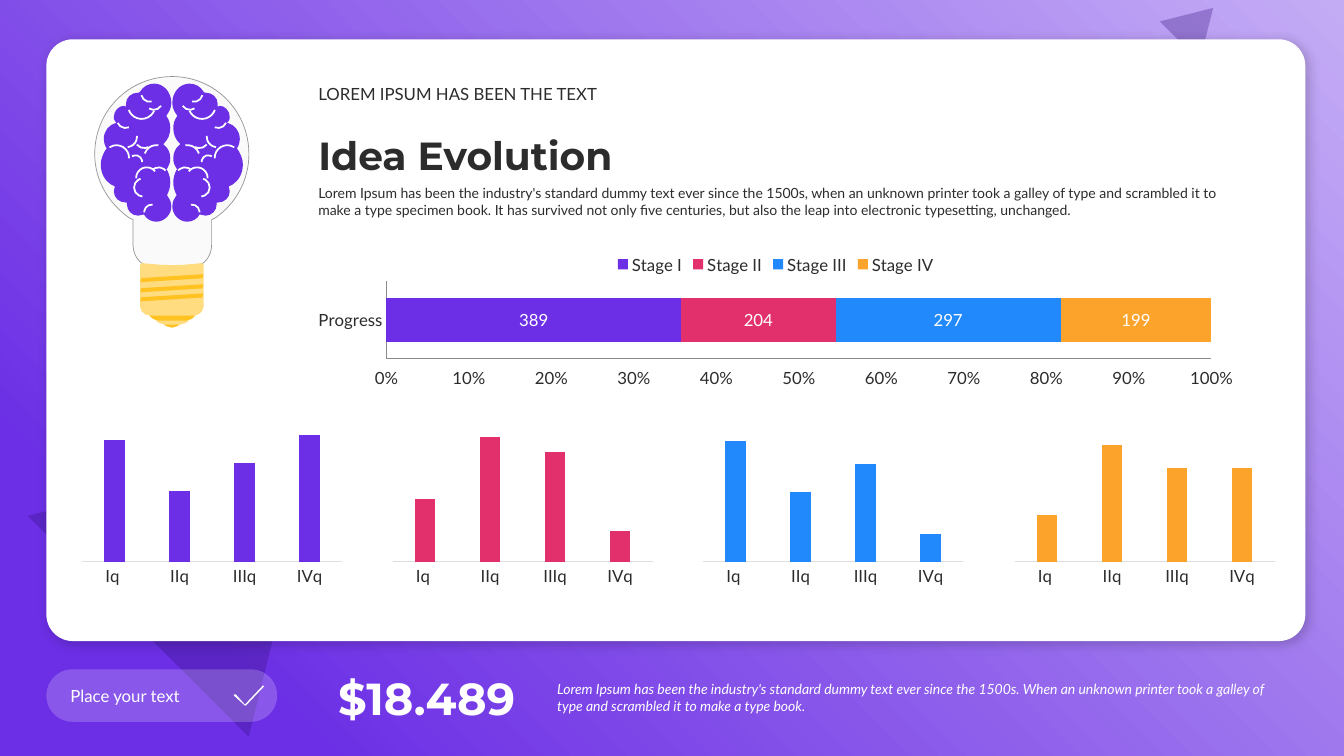
"""Build the Idea Evolution slide with a light bulb, stage charts and a footer."""
from dataclasses import dataclass

from lxml.etree import SubElement
from pptx import Presentation
from pptx.chart.data import CategoryChartData
from pptx.dml.color import RGBColor
from pptx.enum.chart import XL_CHART_TYPE, XL_LEGEND_POSITION, XL_TICK_LABEL_POSITION, XL_TICK_MARK
from pptx.enum.shapes import MSO_SHAPE
from pptx.enum.text import MSO_ANCHOR, MSO_AUTO_SIZE, PP_ALIGN
from pptx.oxml.ns import qn
from pptx.util import Pt

PX = 9144
SLIDE_WIDTH, SLIDE_HEIGHT = 12192000, 6858000
RECT, ROUND, TRIANGLE = MSO_SHAPE.RECTANGLE, MSO_SHAPE.ROUNDED_RECTANGLE, MSO_SHAPE.ISOSCELES_TRIANGLE
ARC, SLANT = MSO_SHAPE.ARC, MSO_SHAPE.PARALLELOGRAM
COLUMNS, STACKED = XL_CHART_TYPE.COLUMN_CLUSTERED, XL_CHART_TYPE.BAR_STACKED_100
TOP, MIDDLE, BOTTOM = MSO_ANCHOR.TOP, MSO_ANCHOR.MIDDLE, MSO_ANCHOR.BOTTOM
LEFT, RIGHT = PP_ALIGN.LEFT, PP_ALIGN.RIGHT
NO_TICK, LOW = XL_TICK_MARK.NONE, XL_TICK_LABEL_POSITION.LOW
FIT_SHAPE, LEGEND_TOP = MSO_AUTO_SIZE.SHAPE_TO_FIT_TEXT, XL_LEGEND_POSITION.TOP


@dataclass(frozen=True)
class Theme:
    violet: str = "6C2FE5"
    lilac: str = "C4ACF5"
    indigo: str = "330F7B"
    pink: str = "E1306C"
    blue: str = "2189FB"
    orange: str = "FCA32C"
    amber: str = "FFC220"
    butter: str = "FFDC80"
    glass: str = "FAFAFA"
    outline: str = "969696"
    axis: str = "8B8B8B"
    baseline: str = "DFDFDF"
    ink: str = "2C2C2C"
    white: str = "FFFFFF"
    body: str = "Lato"
    display: str = "Montserrat"
    small: int = 10
    normal: int = 12
    title: int = 28
    figure: int = 32


def rgb(color):
    return RGBColor.from_string(color)


class Page:
    def __init__(self, slide, theme):
        self.slide, self.theme, self.shapes = slide, theme, slide.shapes

    def start_group(self):
        self.shapes = self.slide.shapes.add_group_shape().shapes

    def end_group(self):
        self.shapes = self.slide.shapes

    def paint(self, shape, fill, alpha=None, line=None, weight=1.25):
        shape.shadow.inherit = False
        if fill:
            shape.fill.solid()
            shape.fill.fore_color.rgb = rgb(fill)
            if alpha:
                color = shape._element.spPr.find(qn("a:solidFill"))[0]
                SubElement(color, qn("a:alpha"), val=str(alpha * 1000))
        else:
            shape.fill.background()
        if line:
            shape.line.color.rgb = rgb(line)
            shape.line.width = Pt(weight)
        else:
            shape.line.fill.background()
        return shape

    def shape(self, kind, box, fill=None, adjust=(), turn=0, flip=False, **paint):
        shape = self.shapes.add_shape(kind, *(v * PX for v in box))
        for index, value in enumerate(adjust):
            shape.adjustments[index] = value
        shape.rotation = turn
        if flip:
            shape._element.spPr.xfrm.set("flipH", "1")
        return self.paint(shape, fill, **paint)

    def outline(self, segments, fill, mirror=None, **paint):
        scaled = [[((mirror - x if mirror else x) * PX, y * PX) for x, y in zip(item[::2], item[1::2])]
                  for item in segments]
        ends = [points[-1] for points in scaled]
        builder = self.shapes.build_freeform(*ends[0], scale=1.0)
        builder.add_line_segments(ends[1:], close=True)
        shape = builder.convert_to_shape()
        left, top = (min(values) for values in zip(*ends))
        lines = list(shape._element.iter(qn("a:lnTo")))
        for line, points in zip(lines, scaled[1:]):
            if len(points) == 3:
                line.tag = qn("a:cubicBezTo")
                line.remove(line[0])
                for x, y in points:
                    SubElement(line, qn("a:pt"), x=str(x - left), y=str(y - top))
        return self.paint(shape, fill, **paint)

    def backdrop(self):
        shape = self.shape(RECT, (0, 0, 1, 1), self.theme.violet)
        shape.width, shape.height = SLIDE_WIDTH, SLIDE_HEIGHT
        shape.fill.gradient()
        stops = shape.fill.gradient_stops
        for stop, color, position in zip(stops, (self.theme.lilac, self.theme.violet), (0, 0.85)):
            stop.color.rgb, stop.position = rgb(color), position
        gradient = shape._element.spPr.find(qn("a:gradFill"))
        gradient.remove(gradient.find(qn("a:lin")))
        circle = SubElement(gradient, qn("a:path"), path="circle")
        SubElement(circle, qn("a:fillToRect"), l="100000", b="100000")

    def card(self, box):
        shape = self.shape(ROUND, box, self.theme.white, (0.044,))
        effects = shape._element.spPr.find(qn("a:effectLst"))
        shadow = SubElement(effects, qn("a:outerShdw"), blurRad=str(Pt(8)), dist=str(Pt(3)), dir="2700000",
                            algn="tl", rotWithShape="0")
        SubElement(SubElement(shadow, qn("a:srgbClr"), val="000000"), qn("a:alpha"), val="20000")

    def style(self, font, size, color, face=None, bold=False, italic=False):
        font.name, font.size, font.color.rgb = face or self.theme.body, Pt(size), rgb(color)
        font.bold, font.italic = bold, italic

    def text(self, box, words, size, color, anchor=MIDDLE, align=LEFT, after=0, **style):
        frame = self.shapes.add_textbox(*(v * PX for v in box)).text_frame
        frame.text = words
        frame.word_wrap, frame.auto_size, frame.vertical_anchor = True, FIT_SHAPE, anchor
        para = frame.paragraphs[0]
        para.alignment, para.space_after = align, Pt(after)
        self.style(para.runs[0].font, size, color, **style)

    def chart(self, kind, box, categories, series, gap, overlap):
        data = CategoryChartData()
        data.categories = categories
        for name, values, _ in series:
            data.add_series(name, values)
        chart = self.shapes.add_chart(kind, *(v * PX for v in box), data).chart
        chart.has_title = chart.has_legend = False
        self.style(chart.font, self.theme.normal, self.theme.ink)
        plot = chart.plots[0]
        plot.gap_width, plot.overlap, plot.vary_by_categories = gap, overlap, False
        for item, (_, _, color) in zip(plot.series, series):
            item.format.fill.solid()
            item.format.fill.fore_color.rgb = rgb(color)
        for axis in (chart.category_axis, chart.value_axis):
            axis.has_major_gridlines = False
            axis.major_tick_mark = axis.minor_tick_mark = NO_TICK
            axis.format.line.width = Pt(0.75)
            axis.format.line.color.rgb = rgb(self.theme.axis)
        return chart

    def quarters(self, box, values, color, ceiling):
        series = [("Series 1", values, color)]
        chart = self.chart(COLUMNS, box, ("Iq ", "IIq", "IIIq", "IVq"), series, 219, -27)
        chart.category_axis.format.line.color.rgb = rgb(self.theme.baseline)
        chart.value_axis.visible = False
        chart.value_axis.minimum_scale, chart.value_axis.maximum_scale = 0, ceiling
        area = chart._chartSpace.chart.plotArea
        for old in area.findall(qn("c:layout")):
            area.remove(old)
        layout = SubElement(area, qn("c:layout"))
        area.insert(0, layout)
        manual = SubElement(layout, qn("c:manualLayout"))
        for tag, value in (("layoutTarget", "inner"), ("xMode", "edge"), ("yMode", "edge"),
                           ("x", "0.024"), ("y", "0.095"), ("w", "0.952"), ("h", "0.635")):
            SubElement(manual, qn("c:" + tag), val=value)

    def progress(self, box, series):
        chart = self.chart(STACKED, box, ("Progress",), series, 75, 100)
        chart.has_legend = True
        chart.legend.position, chart.legend.include_in_layout = LEGEND_TOP, False
        self.style(chart.legend.font, self.theme.normal, self.theme.ink)
        axis = chart.value_axis
        axis.tick_label_position, axis.major_unit = LOW, 0.1
        axis.tick_labels.number_format, axis.tick_labels.number_format_is_linked = "0%", False
        plot = chart.plots[0]
        plot.has_data_labels = True
        plot.data_labels.show_value = True
        self.style(plot.data_labels.font, self.theme.normal, self.theme.white)


CHECK = ((262, 681), (261, 680), (243, 699), (234, 689), (232, 689), (232, 690), (243, 700), (244, 700))
BULB = ((171, 76), (213, 76, 247, 110, 247, 153), (247, 179, 234, 202, 214, 216), (210, 218), (210, 243),
        (210, 256, 200, 266, 188, 266), (154, 266), (142, 266, 132, 256, 132, 243), (132, 218), (128, 216),
        (108, 202, 94, 179, 94, 153), (94, 110, 128, 76, 171, 76))
BRAIN = ((153, 83), (162, 83, 170, 91, 170, 102), (170, 105, 169, 109, 167, 112), (165, 115),
         (168, 119, 169, 123, 169, 127), (169, 133, 167, 138, 163, 142), (162, 143), (163, 144),
         (167, 147, 169, 152, 169, 157), (169, 161, 168, 164, 166, 167), (165, 168), (166, 169),
         (168, 173, 169, 177, 169, 181), (169, 185, 168, 189, 166, 193), (165, 194), (166, 194),
         (168, 197, 170, 200, 170, 205), (170, 213, 163, 220, 155, 220), (150, 220, 145, 217, 143, 213),
         (142, 213), (140, 214, 139, 214, 137, 214), (131, 214, 126, 209, 126, 203), (126, 201), (125, 201),
         (118, 201, 113, 196, 113, 190), (113, 188, 113, 187, 114, 185), (110, 183),
         (104, 179, 100, 172, 100, 163), (100, 158, 102, 154, 104, 150), (106, 147), (105, 146),
         (104, 144, 103, 141, 103, 138), (103, 130, 108, 124, 115, 122), (116, 122), (114, 120),
         (113, 119, 113, 117, 113, 116), (113, 110, 118, 105, 123, 105), (125, 106), (125, 103),
         (125, 97, 130, 92, 137, 92), (138, 92), (139, 91), (142, 86, 147, 83, 153, 83))
FOLDS = ((144, 92, 17, 122.3, ()), (140, 84, 17, 167.1, ()), (127, 91, 27, 167.1, (130.12, 211.95)),
         (103, 144, 25, 167.1, (41.6, 117.24)), (128, 154, 13, 167.1, (41.6, 117.24)),
         (116, 110, 17, 156.5, ()), (149, 166, 17, 126.4, (63.03, 117.24)),
         (135, 166, 21, 126.4, (30.97, 117.24)), (143, 203, 15, 126.4, (30.97, 90.77)),
         (143, 144, 24, 158.8, (23.82, 72.33)), (133, 177, 18, 58.3, (21.7, 117.24)),
         (134, 129, 18, 21.9, (23.82, 72.33)), (115, 125, 21, 110.9, (147.33, 199.6)))
SOCKET = ((139, 263), (139, 262, 140, 261, 141, 261), (151, 262, 160, 263, 171, 263),
          (182, 263, 191, 262, 200, 261), (201, 261, 202, 262, 202, 263), (202, 304),
          (202, 305, 201, 306, 200, 306), (141, 306), (140, 306, 139, 305, 139, 304))
MIRROR = 341


def draw_bulb(page, theme):
    page.start_group()
    page.outline(BULB, theme.glass, line=theme.outline, weight=0.5)
    for flip in (False, True):
        page.outline(BRAIN, theme.violet, mirror=MIRROR if flip else None)
        for x, y, size, turn, adjust in FOLDS:
            left = MIRROR - x - size if flip else x
            page.shape(ARC, (left, y, size, size), adjust=adjust, turn=360 - turn if flip else turn,
                       flip=flip, line=theme.white)
    for box, color in (((160, 305, 21, 20), theme.amber), ((153, 302, 36, 20), theme.butter),
                       ((146, 294, 50, 24), theme.amber), ((139, 294, 63, 19), theme.butter)):
        page.shape(ROUND, box, color, (0.5,))
    page.outline(SOCKET, theme.butter)
    for top in (274, 284, 293):
        page.shape(SLANT, (139, top, 63, 4), theme.amber, (0.31,), turn=356.4)
    page.end_group()


def main():
    theme = Theme()
    deck = Presentation()
    deck.slide_width, deck.slide_height = SLIDE_WIDTH, SLIDE_HEIGHT
    page = Page(deck.slides.add_slide(deck.slide_layouts[6]), theme)
    page.backdrop()
    for box in ((73, 402, 310, 257), (1159, 1, 56, 47)):
        page.shape(TRIANGLE, box, theme.indigo, turn=45, alpha=30)
    page.card((46, 39, 1249, 597))
    page.start_group()
    page.shape(ROUND, (46, 664, 229, 52), theme.white, (0.5,), alpha=20)
    page.outline(CHECK, theme.white)
    page.text((60, 675, 188, 30), "Place your text", theme.normal, theme.white)
    page.end_group()
    page.text((319, 660, 202, 64), "$18.489 ", theme.figure, theme.white, align=RIGHT,
              face=theme.display, bold=True)
    page.text((543, 670, 733, 44), "Lorem Ipsum has been the industry's standard dummy text ever since the 1500s. "
              "When an unknown printer took a galley of type and scrambled it to make a type book.",
              theme.small, theme.white, after=6, italic=True)
    draw_bulb(page, theme)
    page.text((306, 178, 935, 44), "Lorem Ipsum has been the industry's standard dummy text ever since the 1500s, "
              "when an unknown printer took a galley of type and scrambled it to make a type specimen book. It has "
              "survived not only five centuries, but also the leap into electronic typesetting, unchanged.",
              theme.small, theme.ink, anchor=TOP, after=6)
    page.text((306, 125, 935, 57), "Idea Evolution", theme.title, theme.ink, anchor=BOTTOM,
              face=theme.display, bold=True)
    page.text((306, 78, 935, 30), "LOREM IPSUM HAS BEEN THE TEXT", theme.normal, theme.ink, anchor=BOTTOM)
    stages = (("Stage I", 389, theme.violet, (96, 56, 78, 100), 111),
              ("Stage II", 204, theme.pink, (50, 100, 88, 25), 112.5),
              ("Stage III", 297, theme.blue, (100, 58, 81, 23), 116),
              ("Stage IV", 199, theme.orange, (40, 100, 80, 80), 120))
    for index, (_, _, color, values, ceiling) in enumerate(stages):
        page.quarters((75 + index * 925 // 3, 397, 271, 220), values, color, ceiling)
    page.progress((297, 241, 945, 147), [(name, (total,), color) for name, total, color, _, _ in stages])
    deck.save("out.pptx")


if __name__ == "__main__":
    main()
